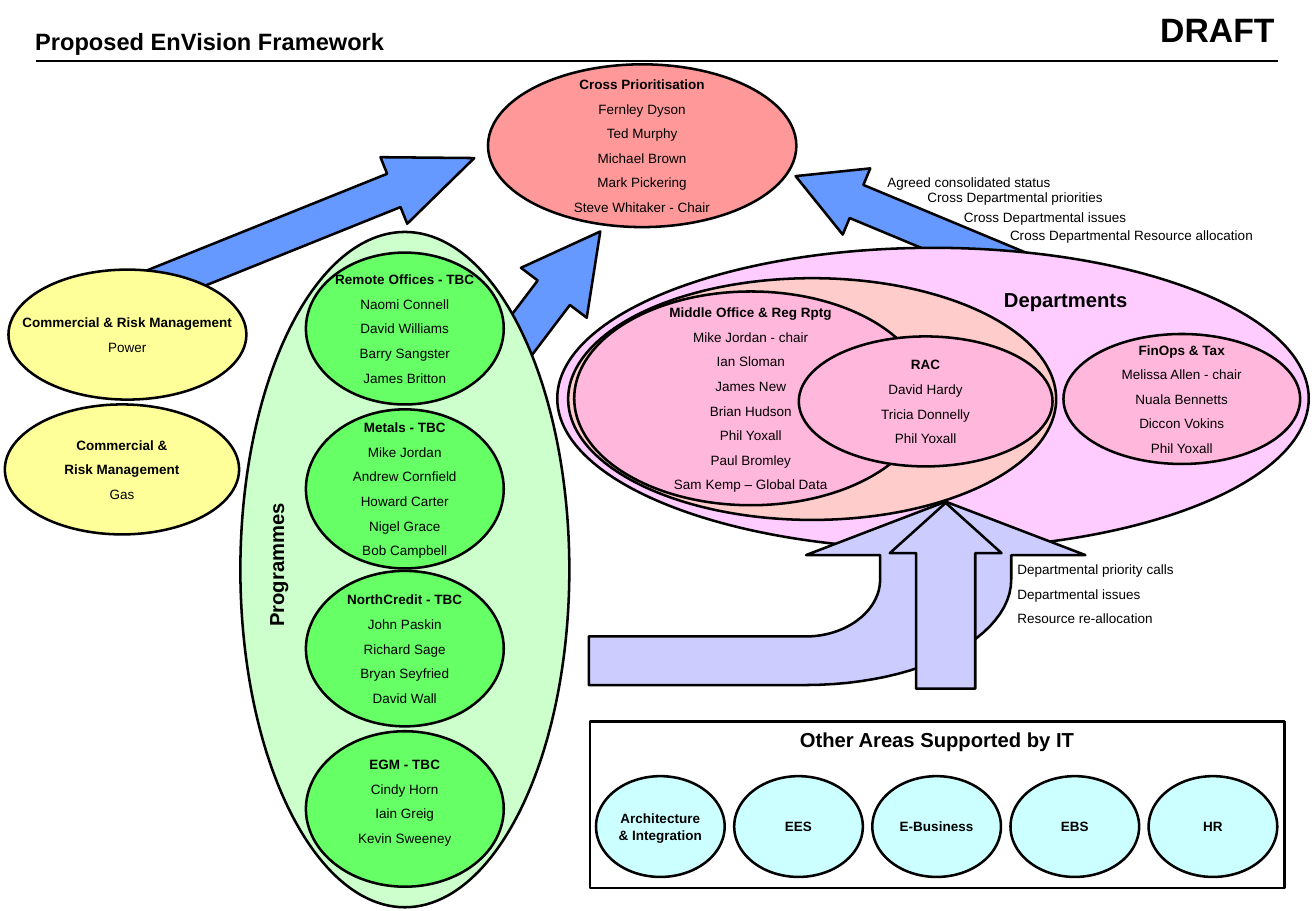
import pptx
import pptx.dml.color
import pptx.enum.shapes
import pptx.enum.text
import pptx.oxml.ns
import pptx.util
from lxml import etree

SHAPES = pptx.enum.shapes.MSO_SHAPE
ALIGN = pptx.enum.text.PP_ALIGN
ANCHOR = pptx.enum.text.MSO_ANCHOR
COLUMNS, ROWS = 108.4, 75  # square cells of a tenth of an inch

BLACK, WHITE = "000000", "FFFFFF"
RED, YELLOW, GREEN, PALE_GREEN = "FF9999", "FFFF99", "66FF66", "CCFFCC"
LILAC, PEACH, PINK, CYAN = "FFCCFF", "FFCCCC", "FFB7DB", "CCFFFF"
BLUE, LAVENDER = "6699FF", "CCCCFF"


def cells(count):
    return pptx.util.Emu(round(count * pptx.util.Inches(0.1)))


def colour(hex_code):
    return pptx.dml.color.RGBColor.from_string(hex_code)


def bezier(start, first_handle, second_handle, end, steps=24):
    """Points along a cubic curve, without its start."""
    points = []
    for step in range(1, steps + 1):
        t = step / steps
        weights = ((1 - t) ** 3, 3 * t * (1 - t) ** 2, 3 * t ** 2 * (1 - t), t ** 3)
        corners = (start, first_handle, second_handle, end)
        points.append(tuple(sum(w * c[axis] for w, c in zip(weights, corners))
                            for axis in (0, 1)))
    return points


class Framework:
    font = "Arial"
    body_size, heading_size = 8, 12
    outline_width = 1.5

    def __init__(self):
        self.deck = pptx.Presentation()
        self.deck.slide_width, self.deck.slide_height = cells(COLUMNS), cells(ROWS)
        self.slide = self.deck.slides.add_slide(self.deck.slide_layouts[6])

    def paint(self, shape, fill):
        shape.shadow.inherit = False
        shape.fill.solid()
        shape.fill.fore_color.rgb = colour(fill)
        shape.line.color.rgb = colour(BLACK)
        shape.line.width = pptx.util.Pt(self.outline_width)

    def set_text(self, shape, lines, bold_lines, size, align, anchor, wrap, foot=0.5):
        """Fill a shape with lines; the first bold_lines of them are bold."""
        frame = shape.text_frame
        frame.word_wrap = wrap
        frame.vertical_anchor = anchor
        frame.margin_left = frame.margin_right = 0
        frame.margin_top, frame.margin_bottom = cells(0.5), cells(foot)
        for index, line in enumerate(lines):
            paragraph = frame.add_paragraph() if index else frame.paragraphs[0]
            paragraph.alignment = align
            paragraph.space_before = pptx.util.Pt(5 if index else 0)
            run = paragraph.add_run()
            run.text = line
            run.font.name = self.font
            run.font.size = pptx.util.Pt(size)
            run.font.bold = index < bold_lines
            run.font.color.rgb = colour(BLACK)

    def preset(self, kind, box, fill, rotation=0, adjustments=()):
        shape = self.slide.shapes.add_shape(kind, *map(cells, box))
        shape.rotation = rotation
        for index, value in enumerate(adjustments):
            shape.adjustments[index] = value
        self.paint(shape, fill)
        return shape

    def ellipse(self, box, fill, lines=(), bold_lines=1, wrap=False, foot=0.5):
        shape = self.preset(SHAPES.OVAL, box, fill)
        if lines:
            self.set_text(shape, lines, bold_lines, self.body_size, ALIGN.CENTER,
                          ANCHOR.MIDDLE, wrap, foot)

    def panel(self, box, fill, heading):
        self.set_text(self.preset(SHAPES.RECTANGLE, box, fill), [heading], 1,
                      self.heading_size, ALIGN.CENTER, ANCHOR.TOP, False)

    def label(self, box, lines, bold_lines=0, size=body_size, align=ALIGN.LEFT,
              anchor=ANCHOR.TOP, rotation=0):
        text_box = self.slide.shapes.add_textbox(*map(cells, box))
        text_box.rotation = rotation
        self.set_text(text_box, lines, bold_lines, size, align, anchor, True)

    def heading(self, box, text, rotation=0):
        self.label(box, [text], 1, self.heading_size, ALIGN.CENTER, rotation=rotation)

    def rule(self, left, right, row):
        line = self.slide.shapes.add_connector(
            pptx.enum.shapes.MSO_CONNECTOR.STRAIGHT,
            cells(left), cells(row), cells(right), cells(row))
        line.line.color.rgb = colour(BLACK)
        line.line.width = pptx.util.Pt(1)
        properties = line._element.find(pptx.oxml.ns.qn("p:spPr"))
        etree.SubElement(properties, pptx.oxml.ns.qn("a:effectLst"))

    def outline(self, points, fill):
        start, *rest = [(cells(x), cells(y)) for x, y in points]
        builder = self.slide.shapes.build_freeform(*start)
        builder.add_line_segments(rest, close=True)
        self.paint(builder.convert_to_shape(), fill)


def add_header(page):
    page.rule(3, 105.3, 5)
    page.label((85, 0.2, 20, 4.3), ["DRAFT"], 1, 20, ALIGN.RIGHT)
    page.label((2.9, 2.5, 103.3, 2.5), ["Proposed EnVision Framework"], 1, 14,
               anchor=ANCHOR.BOTTOM)


def add_arrows_to_prioritisation(page):
    for box, rotation, adjustments in (
            ((64.7, 15.7, 21.6, 5.9), 202.6, (0.5, 0.92)),
            ((39.1, 20.8, 12.9, 6.8), 307.2, (0.49, 0.93)),
            ((11.5, 15.4, 28.6, 5.9), 338.1, (0.5, 1.21))):
        page.preset(SHAPES.RIGHT_ARROW, box, BLUE, rotation, adjustments)


def add_groups(page):
    page.ellipse((45.9, 20.4, 61.9, 24.8), LILAC)
    page.ellipse((46.8, 22.9, 40.2, 19.9), PEACH)
    page.ellipse((19.8, 19.1, 27.1, 55.6), PALE_GREEN)
    page.heading((17, 45, 11.5, 3), "Programmes", 270)
    page.heading((78.6, 23.2, 18.4, 3), "Departments")


def add_teams(page):
    page.ellipse((40.2, 5.3, 25.4, 13.4), RED, [
        "Cross Prioritisation", "Fernley Dyson", "Ted Murphy", "Michael Brown",
        "Mark Pickering", "Steve Whitaker - Chair"])
    page.ellipse((0.7, 22.2, 19.6, 10.7), YELLOW,
                 ["Commercial & Risk Management", "Power"])
    page.ellipse((0.4, 33.3, 19.3, 10.7), YELLOW,
                 ["Commercial &", "Risk Management", "Gas"], bold_lines=2)

    for box, members in (
            ((47.3, 24, 29.1, 17.6), [
                "Middle Office & Reg Rptg", "Mike Jordan - chair", "Ian Sloman",
                "James New", "Brian Hudson", "Phil Yoxall", "Paul Bromley",
                "Sam Kemp – Global Data"]),
            ((65.8, 27.7, 20.9, 10.7), [
                "RAC", "David Hardy", "Tricia Donnelly", "Phil Yoxall"]),
            ((87.6, 27.5, 19.5, 10.7), [
                "FinOps & Tax", "Melissa Allen - chair", "Nuala Bennetts",
                "Diccon Vokins", "Phil Yoxall"])):
        page.ellipse(box, PINK, members)

    for top, height, foot, members in (
            (20.8, 12.5, 0.5, ["Remote Offices - TBC", "Naomi Connell",
                               "David Williams", "Barry Sangster", "James Britton"]),
            (33.7, 13.1, 0.5, ["Metals - TBC", "Mike Jordan", "Andrew Cornfield",
                               "Howard Carter", "Nigel Grace", "Bob Campbell"]),
            (47, 12.8, 0.5, ["NorthCredit - TBC", "John Paskin", "Richard Sage",
                             "Bryan Seyfried", "David Wall"]),
            (60.2, 12.8, 1.8, ["EGM - TBC", "Cindy Horn", "Iain Greig",
                               "Kevin Sweeney"])):
        page.ellipse((25.2, top, 16.3, height), GREEN, members, foot=foot)


def add_supported_areas(page):
    page.panel((48.6, 59.4, 57.2, 13.7), WHITE, "Other Areas Supported by IT")
    areas = ("Architecture & Integration", "EES", "E-Business", "EBS", "HR")
    for index, area in enumerate(areas):
        page.ellipse((49.1 + 11.38 * index, 63.9, 10.6, 8.3), CYAN, [area],
                     wrap=index == 0)


def add_arrows_to_departments(page):
    outer_bend = bezier((66.4, 56.4), (75.7, 56.4), (83.3, 52.5), (83.3, 47.7))
    inner_bend = bezier((72.5, 47.7), (72.5, 50.3), (69.7, 52.4), (66.4, 52.4))
    arrow_head = [(83.3, 45.7), (89.4, 45.7), (77.9, 41.3), (66.4, 45.7), (72.5, 45.7)]
    page.outline([(48.5, 56.4), (66.4, 56.4), *outer_bend, *arrow_head,
                  (72.5, 47.7), *inner_bend, (48.5, 52.4)], LAVENDER)
    page.preset(SHAPES.UP_ARROW, (73.3, 41.4, 9.2, 15.3), LAVENDER,
                adjustments=(0.53, 0.45))


def add_flow_notes(page):
    page.label((83.8, 45.7, 16, 6.4), [
        "Departmental priority calls", "Departmental issues", "Resource re-allocation"])
    for left, top, note in (
            (73.1, 13.8, "Agreed consolidated status"),
            (76.4, 15.1, "Cross Departmental priorities"),
            (79.4, 16.7, "Cross Departmental issues"),
            (83.2, 18.2, "Cross Departmental Resource allocation")):
        page.label((left, top, 24.3, 2.4), [note])


def main():
    page = Framework()
    for add_part in (add_header, add_arrows_to_prioritisation, add_groups, add_teams,
                     add_supported_areas, add_arrows_to_departments, add_flow_notes):
        add_part(page)
    page.deck.save("out.pptx")


if __name__ == "__main__":
    main()
